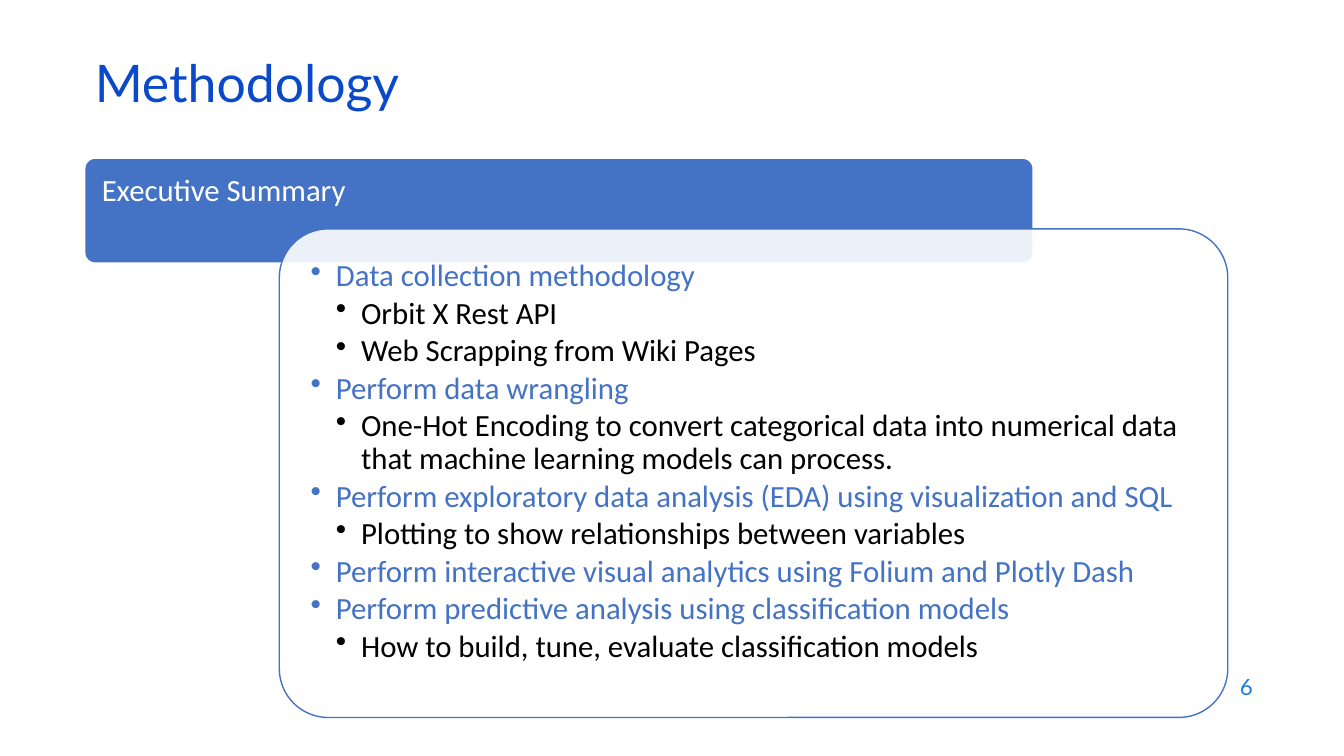
from lxml import etree
from pptx import Presentation
from pptx.dml.color import RGBColor
from pptx.enum.shapes import MSO_SHAPE as SHAPE
from pptx.enum.text import MSO_ANCHOR as ANCHOR, MSO_AUTO_SIZE as AUTO, PP_ALIGN as ALIGN
from pptx.oxml.ns import qn
from pptx.util import Pt

TITLE = "Methodology"
HEADER = "Executive Summary"
PAGE = "6"
STEPS = [
    ("Data collection methodology", ["Orbit X Rest API", "Web Scrapping from Wiki Pages"]),
    ("Perform data\u00a0wrangling", [
        "One-Hot Encoding to convert categorical data into numerical data "
        "that machine learning models can process."]),
    ("Perform exploratory data analysis (EDA) using visualization and\u00a0SQL",
     ["Plotting to show relationships between variables"]),
    ("Perform interactive visual analytics using Folium and\u00a0Plotly\u00a0Dash", []),
    ("Perform predictive analysis using classification models",
     ["How to build, tune, evaluate classification models"]),
]
COLORS = {"title": "0B49CB", "blue": "4472C4", "white": "FFFFFF",
          "black": "000000", "page": "1C7DDB"}
LEFT, PANEL_W, INDENT = 60.5, 677.5, 18


def rgb(name):
    return RGBColor.from_string(COLORS[name])


def add_run(p, text, font, size, color):
    r = p.add_run()
    r.text = text
    r.font.name, r.font.size = font, Pt(size)
    r.font.color.rgb = rgb(color)


def add_panel(left, top, height, fill, line, inset):
    s = slide.shapes.add_shape(SHAPE.ROUNDED_RECTANGLE, Pt(left), Pt(top), Pt(PANEL_W), Pt(height))
    s.adjustments[0] = 0.1
    s.shadow.inherit = False
    s.fill.solid()
    s.fill.fore_color.rgb = rgb(fill)
    s.line.color.rgb, s.line.width = rgb(line), Pt(1)
    tf = s.text_frame
    tf.word_wrap, tf.vertical_anchor = True, ANCHOR.TOP
    tf.margin_left = tf.margin_right = tf.margin_top = tf.margin_bottom = Pt(inset)
    return s


def format_item(p, level):
    p.alignment, p.line_spacing = ALIGN.LEFT, 0.9
    p.space_before, p.space_after = Pt(0), Pt(3)
    pPr = p._p.get_or_add_pPr()
    pPr.set("marL", str(Pt(INDENT * level)))
    pPr.set("indent", str(-Pt(INDENT)))
    etree.SubElement(pPr, qn("a:buChar")).set("char", "•")


prs = Presentation()
prs.slide_width, prs.slide_height = Pt(960), Pt(540)
slide = prs.slides.add_slide(prs.slide_layouts[5])

# Page number
sp = slide.shapes.add_textbox(Pt(686), Pt(474.5), Pt(216), Pt(31.5))
tf = sp.text_frame
tf.word_wrap, tf.vertical_anchor = True, ANCHOR.MIDDLE
p = tf.paragraphs[0]
p.alignment = ALIGN.RIGHT
add_run(p, PAGE, "Lato", 16, "page")

# Header panel
sp = add_panel(LEFT, 113, 75, "blue", "white", 10)
p = sp.text_frame.paragraphs[0]
p.alignment, p.line_spacing = ALIGN.LEFT, 0.9
add_run(p, HEADER, "Calibri", 22, "white")

# Steps panel, slightly see-through over the header
sp = add_panel(199.5, 163.5, 349, "white", "blue", 12.25)
fill_color = sp.fill._xPr.find(qn("a:solidFill"))[0]
etree.SubElement(fill_color, qn("a:alpha")).set("val", "90000")
items = []
for step, details in STEPS:
    items.append((step, 1, "blue"))
    items += [(detail, 2, "black") for detail in details]
tf = sp.text_frame
for i, (text, level, color) in enumerate(items):
    p = tf.add_paragraph() if i else tf.paragraphs[0]
    format_item(p, level)
    add_run(p, text, "Calibri", 22, color)

# Title
sp = slide.shapes.title
sp.left, sp.top, sp.width, sp.height = Pt(LEFT), Pt(42.5), Pt(828), Pt(43)
tf = sp.text_frame
tf.auto_size, tf.vertical_anchor = AUTO.NONE, ANCHOR.MIDDLE
p = tf.paragraphs[0]
p.alignment, p.line_spacing = ALIGN.LEFT, 0.7
add_run(p, TITLE, "Lato", 37, "title")

prs.save("out.pptx")
